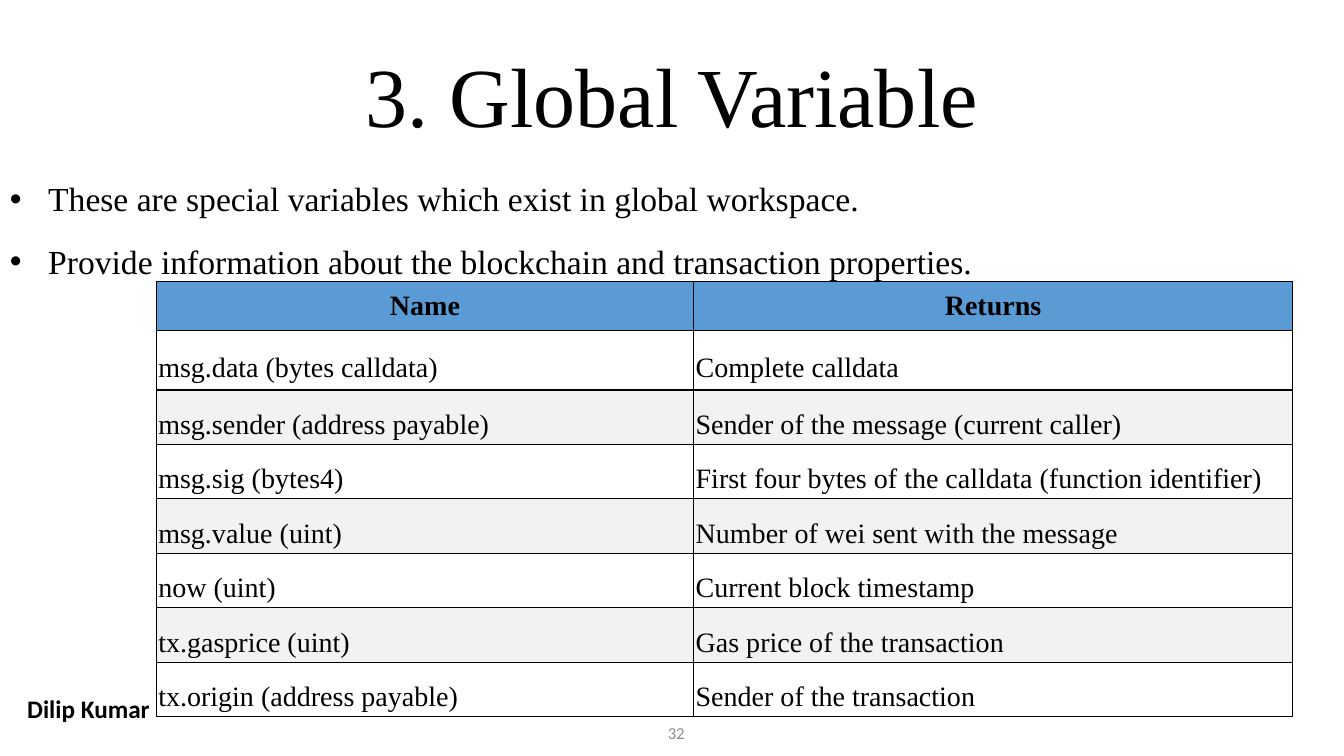
from lxml.etree import SubElement
from pptx import Presentation
from pptx.dml.color import RGBColor
from pptx.enum.text import MSO_ANCHOR, PP_ALIGN
from pptx.oxml.ns import qn
from pptx.util import Emu, Inches, Pt

BLACK = RGBColor(0x00, 0x00, 0x00)
GRAY = RGBColor(0x8C, 0x8C, 0x8C)
HEADER_BLUE = RGBColor(0x5B, 0x9B, 0xD5)
WHITE = RGBColor(0xFF, 0xFF, 0xFF)
BAND_GRAY = RGBColor(0xF2, 0xF2, 0xF2)
SERIF, SANS = "Times New Roman", "Calibri"

TITLE = "3. Global Variable"
BULLETS = [
    "These are special variables which exist in global workspace.",
    "Provide information about the blockchain and transaction properties.",
]
AUTHOR = "Dilip Kumar"
PAGE_NUMBER = "32"
GLOBALS = [
    ("Name", "Returns"),
    ("msg.data (bytes calldata)", "Complete calldata"),
    ("msg.sender (address payable)", "Sender of the message (current caller)"),
    ("msg.sig (bytes4)", "First four bytes of the calldata (function identifier)"),
    ("msg.value (uint)", "Number of wei sent with the message"),
    ("now (uint)", "Current block timestamp"),
    ("tx.gasprice (uint)", "Gas price of the transaction"),
    ("tx.origin (address payable)", "Sender of the transaction"),
]

SLIDE_WIDTH, SLIDE_HEIGHT = 13.33, 7.5
TABLE_LEFT, TABLE_TOP = 1.55, 2.79
COLUMN_WIDTHS = [5.33, 5.94]
ROW_HEIGHTS = [0.49, 0.59] + [0.49] * (len(GLOBALS) - 2)
CELL_MARGIN = 0.02
BULLET_INDENT = 0.38


def set_attributes(target, values):
    for name, value in values.items():
        setattr(target, name, value)


def write_paragraph(paragraph, text, font, **layout):
    set_attributes(paragraph, layout)
    run = paragraph.add_run()
    run.text = text
    color = font.get("color", BLACK)
    set_attributes(run.font, {k: v for k, v in font.items() if k != "color"})
    run.font.color.rgb = color


def add_text(slide, box, lines, font, frame_values=None, **layout):
    """Add a text box with one paragraph per line and return its paragraphs."""
    frame = slide.shapes.add_textbox(*map(Inches, box)).text_frame
    set_attributes(frame, {"word_wrap": True, **(frame_values or {})})
    for index, line in enumerate(lines):
        paragraph = frame.add_paragraph() if index else frame.paragraphs[0]
        write_paragraph(paragraph, line, font, **layout)
    return frame.paragraphs


def add_bullet(paragraph):
    properties = paragraph._p.get_or_add_pPr()
    properties.set("marL", str(Inches(BULLET_INDENT)))
    properties.set("indent", str(-Inches(BULLET_INDENT)))
    SubElement(properties, qn("a:buFont")).set("typeface", "Arial")
    SubElement(properties, qn("a:buChar")).set("char", "•")


def add_borders(cell):
    """Draw the four cell borders; they must precede the fill in the XML."""
    properties = cell._tc.get_or_add_tcPr()
    for position, side in enumerate(("lnL", "lnR", "lnT", "lnB")):
        line = SubElement(properties, qn(f"a:{side}"), w=str(Pt(1)))
        fill = SubElement(line, qn("a:solidFill"))
        SubElement(fill, qn("a:srgbClr"), val=str(BLACK))
        properties.insert(position, line)


def add_globals_table(slide):
    size = sum(COLUMN_WIDTHS), sum(ROW_HEIGHTS)
    table = slide.shapes.add_table(
        len(GLOBALS), len(COLUMN_WIDTHS),
        *map(Inches, (TABLE_LEFT, TABLE_TOP, *size))).table
    for column, width in zip(table.columns, COLUMN_WIDTHS):
        column.width = Inches(width)
    for row, height in zip(table.rows, ROW_HEIGHTS):
        row.height = Inches(height)
    margins = {f"margin_{side}": Inches(CELL_MARGIN)
               for side in ("left", "right", "top", "bottom")}
    for row_index, texts in enumerate(GLOBALS):
        header = row_index == 0
        band = WHITE if row_index % 2 else BAND_GRAY
        layout = {"alignment": PP_ALIGN.CENTER} if header else {"line_spacing": 1.5}
        font = {"name": SERIF, "size": Pt(20), "bold": header}
        for column_index, text in enumerate(texts):
            cell = table.cell(row_index, column_index)
            set_attributes(cell, {"vertical_anchor": MSO_ANCHOR.MIDDLE, **margins})
            cell.fill.solid()
            cell.fill.fore_color.rgb = HEADER_BLUE if header else band
            add_borders(cell)
            write_paragraph(cell.text_frame.paragraphs[0], text, font, **layout)


def main():
    presentation = Presentation()
    presentation.slide_width = Inches(SLIDE_WIDTH)
    presentation.slide_height = Inches(SLIDE_HEIGHT)
    slide = presentation.slides.add_slide(presentation.slide_layouts[6])

    add_text(slide, (0, 6.83, 1.86, 0.64), [AUTHOR],
             {"name": SANS, "size": Pt(18), "bold": True},
             {"margin_left": Inches(0.27)})
    add_text(slide, (0, 0.01, SLIDE_WIDTH, 1.48), [TITLE],
             {"name": SERIF, "size": Pt(60)},
             {"vertical_anchor": MSO_ANCHOR.BOTTOM},
             alignment=PP_ALIGN.CENTER, line_spacing=0.9)
    bullets = add_text(slide, (0, 1.52, SLIDE_WIDTH, SLIDE_HEIGHT - 1.52), BULLETS,
                       {"name": SERIF, "size": Pt(24)},
                       line_spacing=1.5, space_before=Pt(1.5))
    for paragraph in bullets:
        add_bullet(paragraph)
    add_text(slide, (6.45, 7.07, 0.44, 0.4), [PAGE_NUMBER],
             {"name": SANS, "size": Pt(12), "color": GRAY},
             {"vertical_anchor": MSO_ANCHOR.MIDDLE}, alignment=PP_ALIGN.RIGHT)
    add_globals_table(slide)
    presentation.save("out.pptx")


if __name__ == "__main__":
    main()
